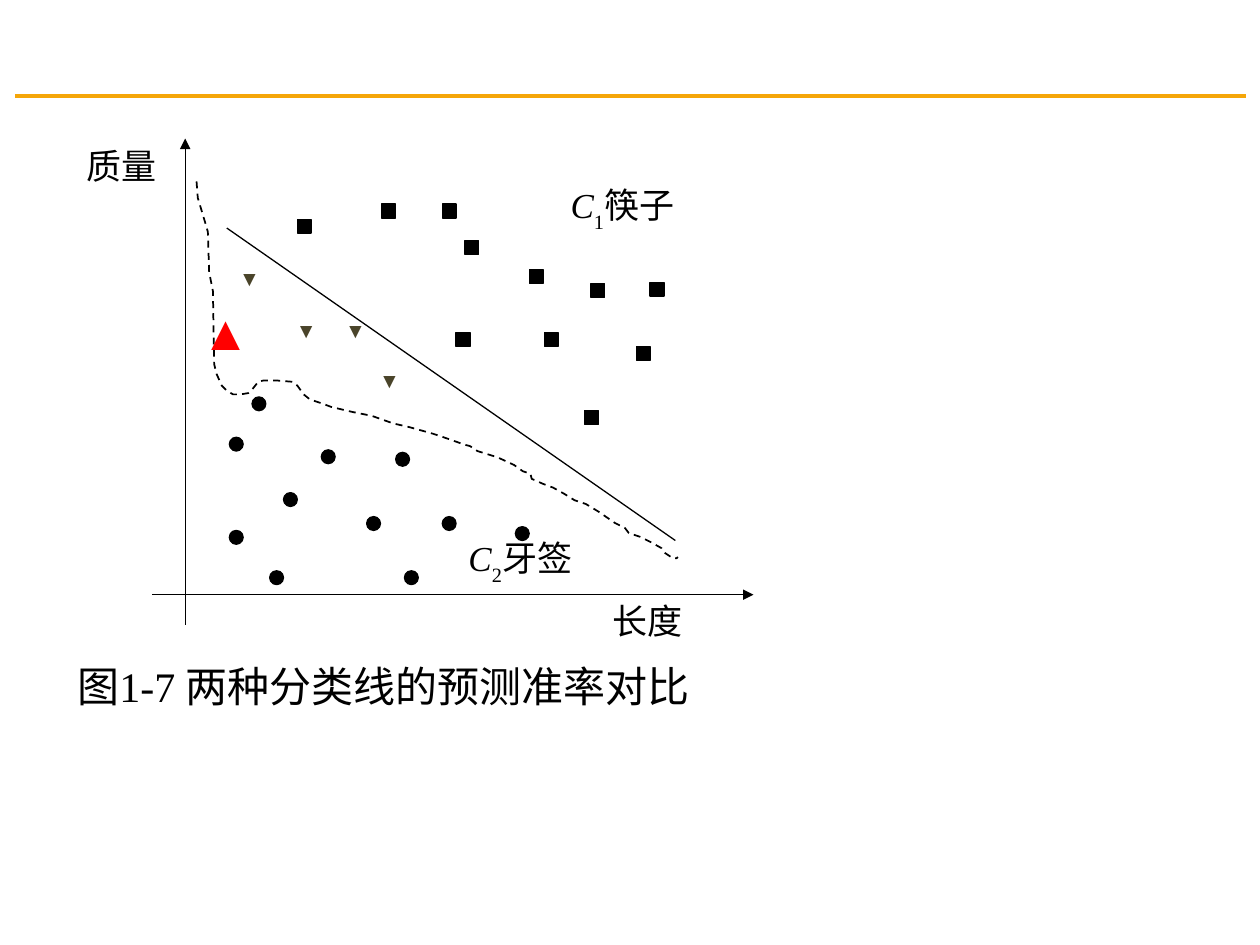
import lxml.etree
import pptx
import pptx.util
import pptx.dml.color
import pptx.enum.dml
import pptx.enum.shapes
import pptx.enum.text
import pptx.oxml.ns
from pptx.util import Inches

COLORS = {"black": "000000", "rule": "F5A609", "red": "FF0000", "olive": "4A442A"}
FONT = "Times New Roman"
MARK = 0.11

# Straight lines: start, end, colour, width, arrow
LINES = [
    ((0.12, 0.76), (9.89, 0.76), "rule", 2, False),
    ((1.21, 4.72), (5.98, 4.72), "black", 0.75, True),
    ((1.47, 4.96), (1.47, 1.1), "black", 0.75, True),
    ((1.8, 1.81), (5.36, 4.29), "black", 0.75, False),
]

# Scatter samples: left, top
TOOTHPICKS = [
    (1.82, 4.21), (2.14, 4.53), (1.82, 3.47), (2.25, 3.91), (3.21, 4.53), (2.91, 4.1),
    (2, 3.15), (2.55, 3.57), (3.51, 4.1), (4.09, 4.18), (3.14, 3.59),
]
CHOPSTICKS = [
    (2.36, 1.74), (3.62, 2.64), (4.69, 2.25), (4.2, 2.14), (5.05, 2.75), (3.51, 1.62),
    (4.32, 2.64), (5.16, 2.24), (3.69, 1.91), (3.03, 1.62), (4.64, 3.26),
]
TRIANGLES = [(2.64, 2.47), (1.8, 2.06), (2.25, 2.47), (2.91, 2.87)]

# Curved class boundary
BOUNDARY = [
    (1.56, 1.44), (1.57, 1.57), (1.6, 1.67), (1.63, 1.77), (1.65, 1.84), (1.66, 2.16),
    (1.69, 2.31), (1.7, 2.89), (1.72, 2.97), (1.76, 3.06), (1.8, 3.1), (1.85, 3.13),
    (1.91, 3.13), (1.97, 3.12), (2.01, 3.08), (2.05, 3.03), (2.09, 3.02), (2.2, 3.02),
    (2.32, 3.03), (2.36, 3.06), (2.41, 3.13), (2.46, 3.17), (2.55, 3.2), (2.63, 3.23),
    (2.8, 3.27), (2.95, 3.3), (3.12, 3.36), (3.25, 3.39), (3.43, 3.44), (3.52, 3.47),
    (3.69, 3.53), (3.73, 3.54), (3.79, 3.58), (3.95, 3.63), (4.08, 3.69), (4.15, 3.74),
    (4.21, 3.76), (4.22, 3.8), (4.31, 3.84), (4.39, 3.87), (4.48, 3.92), (4.56, 3.97),
    (4.65, 4), (4.75, 4.06), (4.88, 4.15), (4.96, 4.19), (4.99, 4.23), (5.08, 4.26),
    (5.16, 4.3), (5.25, 4.35), (5.28, 4.39), (5.34, 4.43), (5.37, 4.43), (5.38, 4.42),
]

PLAIN = {"size": 20}
ITALIC = {"size": 20, "italic": True}
BIG_RED = {"size": 28, "bold": True, "color": "red"}
SMALL_OLIVE = {"size": 12, "bold": True, "color": "olive"}
SUB = {"size": 20, "baseline": "-30000"}

# Labels: box, runs
LABELS = [
    ((4.76, 4.71, 1.29, 0.6), [("长度", PLAIN)]),
    ((0.59, 1.1, 1.04, 0.6), [("质量", PLAIN)]),
    ((1.5, 2.34, 0.92, 0.62), [("▲", BIG_RED)]),
    ((4.43, 1.41, 1.27, 0.6), [("C", ITALIC), ("1", SUB), ("筷子", PLAIN)]),
    ((3.62, 4.21, 1.27, 0.6), [("C", ITALIC), ("2", SUB), ("牙签", PLAIN)]),
]
LABELS += [((x, y, 0.61, 0.68), [("▼", SMALL_OLIVE)]) for x, y in TRIANGLES]
CAPTION = ((0.49, 5.19, 5.11, 0.5), [("图1-7 两种分类线的预测准率对比", {"size": 24})])


def rgb(name):
    return pptx.dml.color.RGBColor.from_string(COLORS[name])


def set_line(s, color, width):
    s.line.color.rgb = rgb(color)
    s.line.width = pptx.util.Pt(width)


def add_line(start, end, color, width, arrow):
    s = slide.shapes.add_connector(
        pptx.enum.shapes.MSO_CONNECTOR.STRAIGHT, *map(Inches, start + end))
    set_line(s, color, width)
    qn = pptx.oxml.ns.qn
    props = s._element.spPr
    if arrow:
        lxml.etree.SubElement(props.find(qn("a:ln")), qn("a:tailEnd"), type="triangle")
    lxml.etree.SubElement(props, qn("a:effectLst"))


def add_marks(kind, places):
    for x, y in places:
        s = slide.shapes.add_shape(kind, *map(Inches, (x, y, MARK, MARK)))
        s.shadow.inherit = False
        s.fill.solid()
        s.fill.fore_color.rgb = rgb("black")
        set_line(s, "black", 0.75)


def add_text(box, runs):
    tf = slide.shapes.add_textbox(*map(Inches, box)).text_frame
    tf.word_wrap = True
    p = tf.paragraphs[0]
    for text, fmt in runs:
        r = p.add_run()
        r.text = text
        r.font.name = FONT
        r.font.color.rgb = rgb(fmt.get("color", "black"))
        r.font.size = pptx.util.Pt(fmt["size"])
        for key in ("bold", "italic"):
            setattr(r.font, key, fmt.get(key, False))
        if "baseline" in fmt:
            r._r.get_or_add_rPr().set("baseline", fmt["baseline"])
    return tf


prs = pptx.Presentation()
prs.slide_width, prs.slide_height = Inches(10), Inches(7.5)
slide = prs.slides.add_slide(prs.slide_layouts[6])

# Header rule, axes and straight boundary
for line in LINES:
    add_line(*line)

# Samples of the two classes
add_marks(pptx.enum.shapes.MSO_SHAPE.OVAL, TOOTHPICKS)
add_marks(pptx.enum.shapes.MSO_SHAPE.RECTANGLE, CHOPSTICKS)

# Dashed boundary
points = [(Inches(x), Inches(y)) for x, y in BOUNDARY]
builder = slide.shapes.build_freeform(*points[0])
builder.add_line_segments(points[1:], close=False)
curve = builder.convert_to_shape()
curve.shadow.inherit = False
curve.fill.background()
set_line(curve, "black", 1)
curve.line.dash_style = pptx.enum.dml.MSO_LINE.DASH

# Labels and caption
for box, runs in LABELS:
    add_text(box, runs)
tf = add_text(*CAPTION)
tf.vertical_anchor = pptx.enum.text.MSO_ANCHOR.MIDDLE
tf.paragraphs[0].alignment = pptx.enum.text.PP_ALIGN.CENTER

prs.save("out.pptx")
